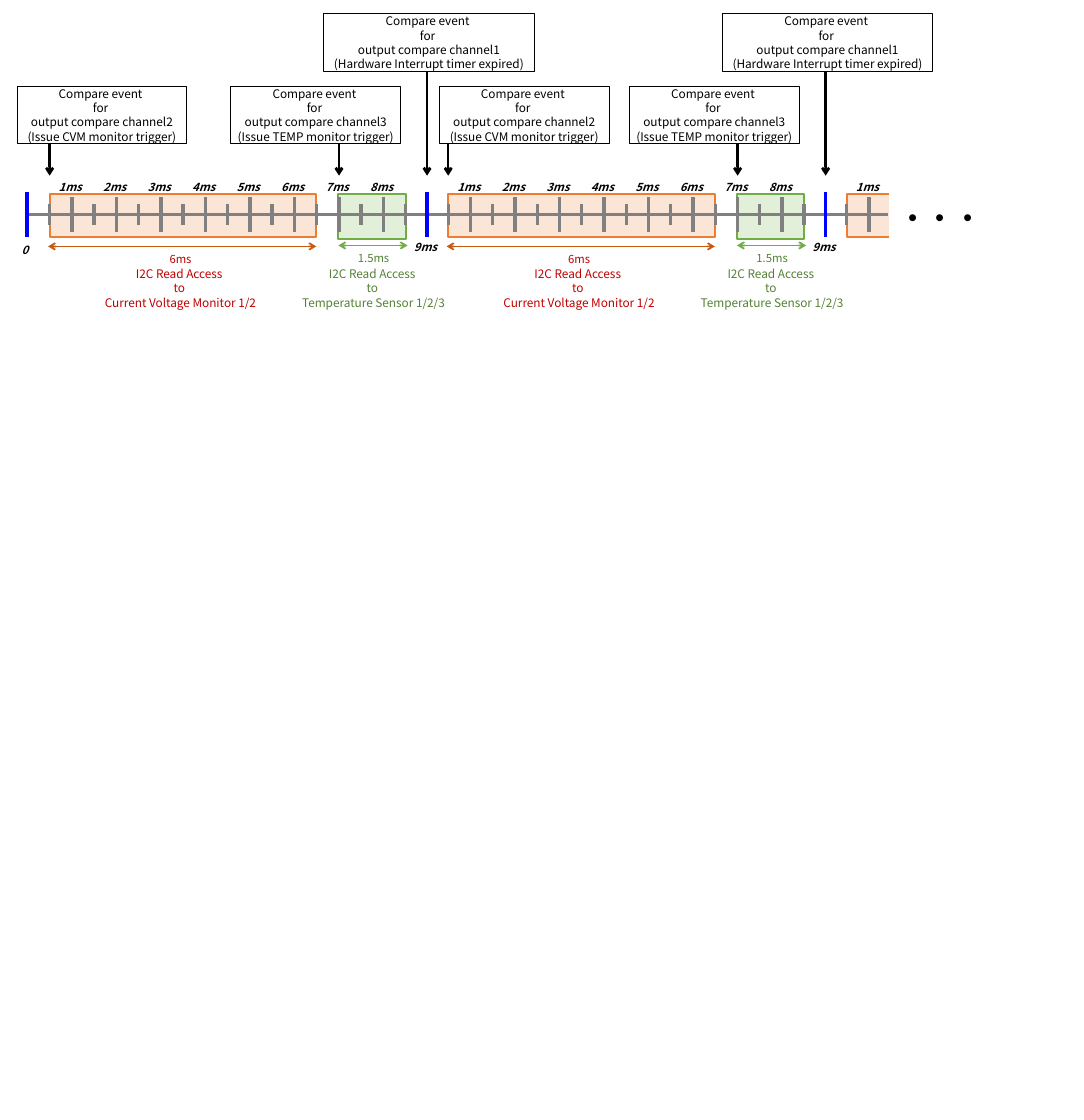
import pptx
import pptx.util
import pptx.dml.color
import pptx.enum.shapes
import pptx.enum.text
import pptx.oxml.ns
import lxml.etree

Cm, Pt = pptx.util.Cm, pptx.util.Pt
RGBColor = pptx.dml.color.RGBColor

BLACK = RGBColor(0, 0, 0)
WHITE = RGBColor(255, 255, 255)
GRAY = RGBColor(0x80, 0x80, 0x80)
BLUE = RGBColor(0, 0, 255)
RED = RGBColor(0xC0, 0, 0)
RUST = RGBColor(0xC5, 0x5A, 0x11)
ORANGE = RGBColor(0xED, 0x7D, 0x31)
PEACH = RGBColor(0xFB, 0xE5, 0xD6)
GREEN = RGBColor(0x70, 0xAD, 0x47)
DARK_GREEN = RGBColor(0x54, 0x82, 0x35)
MINT = RGBColor(0xE2, 0xF0, 0xD9)

FONT = "Noto Sans CJK JP"
CYCLE_START, CYCLE = 1.55, 12.45
MILLISECOND = 1.39
TIMER_OFFSET = 11.79
AXIS_Y, AXIS_START, AXIS_END = 6.71, 0.84, 27.74
WINDOW_TOP = 6.05
ARROW_TIP = 5.49
BOX_HEIGHT = 1.8

ACCESSES = [
    dict(offset=0, width=8.33, height=1.37, fill=PEACH, edge=ORANGE,
         arrow=(-0.05, 8.33), arrow_y=7.7, arrow_color=RUST,
         center=4.09, color=RED, duration="6ms", duration_y=7.87,
         lines=["I2C Read Access ", "to ", "Current Voltage Monitor 1/2"]),
    dict(offset=9.02, width=2.11, height=1.42, fill=MINT, edge=GREEN,
         arrow=(9.02, 11.18), arrow_y=7.67, arrow_color=GREEN,
         center=10.12, color=DARK_GREEN, duration="1.5ms", duration_y=7.85,
         lines=["I2C Read Access ", "to ", "Temperature Sensor 1/2/3"]),
]

EVENTS = [
    (0, (-1.02, -0.28), 2.69, 5.31, "output compare channel2", "(Issue CVM monitor trigger)"),
    (9.04, (5.66, 5.66), 2.69, 5.31, "output compare channel3", "(Issue TEMP monitor trigger)"),
    (TIMER_OFFSET, (8.56, 8.56), 0.43, 6.58, "output compare channel1",
     "(Hardware Interrupt timer expired)"),
]

deck = pptx.Presentation()
deck.slide_width, deck.slide_height = Cm(33.86), Cm(35)
page = deck.slides.add_slide(deck.slide_layouts[6])


def add_line(x1, y1, x2, y2, color, weight, ends=()):
    line = page.shapes.add_connector(
        pptx.enum.shapes.MSO_CONNECTOR.STRAIGHT, Cm(x1), Cm(y1), Cm(x2), Cm(y2))
    line.line.color.rgb = color
    line.line.width = Pt(weight)
    outline = line.line._get_or_add_ln()
    for end in ends:
        lxml.etree.SubElement(outline, pptx.oxml.ns.qn("a:" + end), type="arrow")
    lxml.etree.SubElement(outline.getparent(), pptx.oxml.ns.qn("a:effectLst"))


def add_rect(x, y, width, height, fill, edge, weight):
    rect = page.shapes.add_shape(
        pptx.enum.shapes.MSO_SHAPE.RECTANGLE, Cm(x), Cm(y), Cm(width), Cm(height))
    rect.shadow.inherit = False
    rect.fill.solid()
    rect.fill.fore_color.rgb = fill
    rect.line.color.rgb = edge
    rect.line.width = Pt(weight)
    return rect


def write(box, lines, size, color, margins=(0, 0, 0, 0), centered=True,
          font=FONT, bold=False, italic=False):
    frame = box.text_frame
    frame.word_wrap = True
    frame.margin_left, frame.margin_top, frame.margin_right, frame.margin_bottom = map(Cm, margins)
    frame.text = "\n".join(lines)
    align = pptx.enum.text.PP_ALIGN
    for para in frame.paragraphs:
        para.alignment = align.CENTER if centered else align.LEFT
        para.line_spacing = Pt(round(size * 1.21, 1))
        para.font.name = font
        para.font.size = Pt(size)
        para.font.bold = bold
        para.font.italic = italic
        para.font.color.rgb = color


def add_text(x, y, width, height, lines, size, color, **style):
    box = page.shapes.add_textbox(Cm(x), Cm(y), Cm(width), Cm(height))
    write(box, lines, size, color, **style)


def add_time_label(x, y, width, label):
    add_text(x, y, width, 0.69, [label], 10, BLACK, margins=(0.1, 0.13, 0, 0.13),
             centered=False, bold=True, italic=True)


def add_ticks(start, count):
    for tick in range(count):
        x = start + tick * MILLISECOND / 2
        reach = 0.55 if tick % 2 else 0.32
        add_line(x, AXIS_Y - reach, x, AXIS_Y + reach, GRAY, 3)
        if tick % 2:
            add_time_label(x - 0.51, 5.49, 1.12, f"{tick // 2 + 1}ms")


def add_timer_mark(x):
    add_line(x, 5.99, x, 7.42, BLUE, 3)


def add_access(start, access):
    first, last = access["arrow"]
    add_line(start + first, access["arrow_y"], start + last, access["arrow_y"],
             access["arrow_color"], 1.5, ("headEnd", "tailEnd"))
    center = start + access["center"]
    add_text(center - 0.84, access["duration_y"], 1.68, 0.43,
             [access["duration"]], 10, access["color"])
    add_text(center - 3.16, 8.33, 6.32, 1.35, access["lines"], 10.5, access["color"])


def add_event(start, cycle, event):
    offset, lefts, top, width, channel, action = event
    add_line(start + offset, top + BOX_HEIGHT, start + offset, ARROW_TIP,
             BLACK, 2.25, ("tailEnd",))
    box = add_rect(start + lefts[cycle], top, width, BOX_HEIGHT, WHITE, BLACK, 0.75)
    write(box, ["Compare event ", "for ", channel, action], 10.5, BLACK)
    box.text_frame.vertical_anchor = pptx.enum.text.MSO_ANCHOR.MIDDLE


starts = [CYCLE_START + cycle * CYCLE for cycle in range(3)]
full_starts, next_start = starts[:2], starts[2]

for start in full_starts:
    for access in ACCESSES:
        add_rect(start + access["offset"], WINDOW_TOP, access["width"], access["height"],
                 access["fill"], access["edge"], 1.75)
add_rect(next_start, WINDOW_TOP, MILLISECOND, 1.37, PEACH, ORANGE, 1.75)
add_line(27.81, 6.02, 27.81, 7.47, WHITE, 3)

add_line(AXIS_END, AXIS_Y, AXIS_START, AXIS_Y, GRAY, 3)
add_timer_mark(AXIS_START)
add_time_label(0.58, 7.47, 0.64, "0")

for cycle, start in enumerate(full_starts):
    add_ticks(start, 17)
    timer = start + TIMER_OFFSET
    add_timer_mark(timer)
    add_time_label(timer - 0.51, 7.37, 1.42, "9ms")
    for access in ACCESSES:
        add_access(start, access)
    for event in EVENTS:
        add_event(start, cycle, event)

add_ticks(next_start, 2)
add_text(27.86, 6.17, 3.43, 1.27, ["・・・"], 24, BLACK, margins=(0.25, 0.13, 0.25, 0.13),
         centered=False, font="Lato", bold=True)

deck.save("out.pptx")
